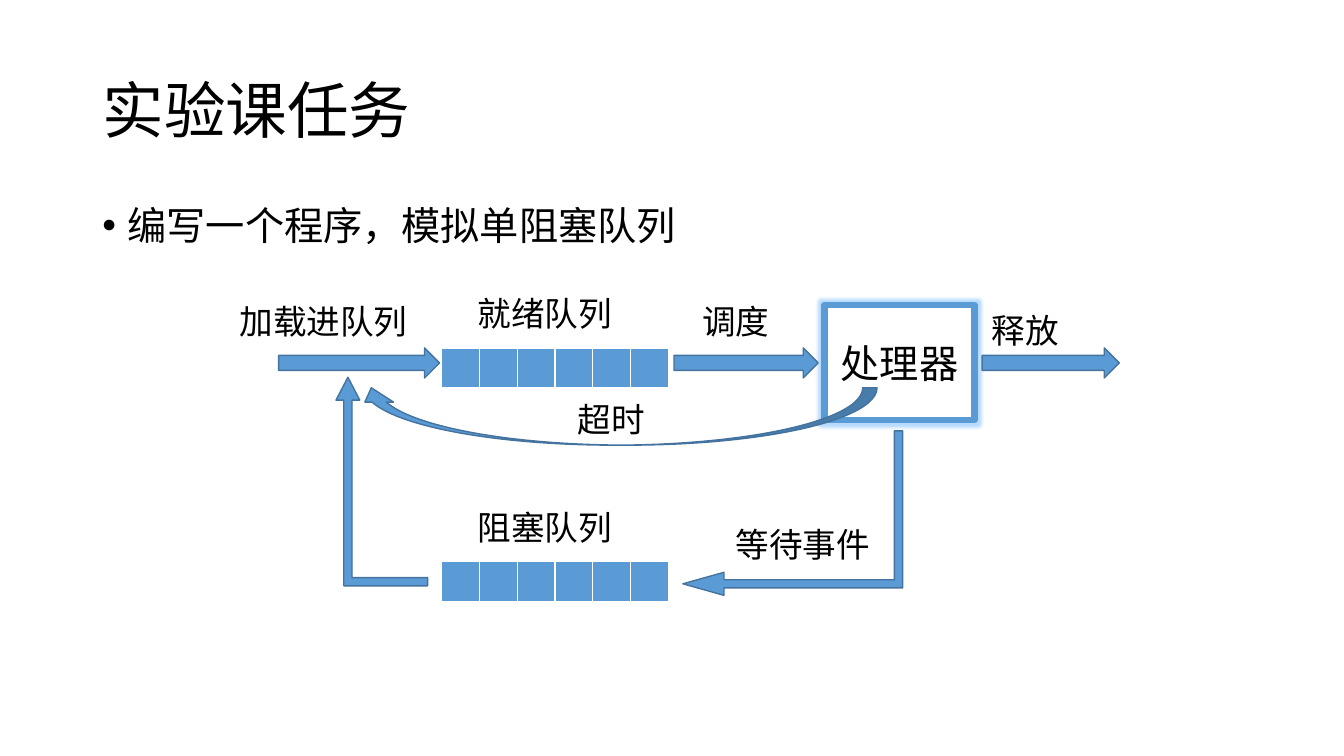
"""Build a slide that shows a scheduler with one ready queue and one blocked queue."""
import dataclasses

import lxml.etree
import pptx
import pptx.dml.color
import pptx.enum.shapes
import pptx.enum.text
import pptx.oxml.ns
import pptx.util

Pt = pptx.util.Pt
Shape = pptx.enum.shapes.MSO_SHAPE
Align = pptx.enum.text.PP_ALIGN
Anchor = pptx.enum.text.MSO_ANCHOR


@dataclasses.dataclass(frozen=True)
class Theme:
    font: str = "Calibri"
    ink: str = "000000"
    paper: str = "FFFFFF"
    accent: str = "5B9BD5"
    outline: str = "43739E"
    glow: str = "99CCFF"
    title_size: int = 44
    body_size: int = 28
    label_size: int = 24


def color(value):
    return pptx.dml.color.RGBColor.from_string(value)


def add_node(parent, tag, **attributes):
    node = lxml.etree.SubElement(parent, pptx.oxml.ns.qn(tag))
    for name, value in attributes.items():
        node.set(name, str(value))
    return node


class SlideBuilder:
    def __init__(self, slide, theme):
        self.slide = slide
        self.theme = theme

    def set_text(self, frame, text, size, align=Align.LEFT):
        frame.text = text
        para = frame.paragraphs[0]
        para.alignment = align
        for span in para.runs:
            span.font.name = self.theme.font
            span.font.size = Pt(size)
            span.font.color.rgb = color(self.theme.ink)
        return para

    def fill_placeholder(self, box, bounds, text, size, anchor):
        box.left, box.top, box.width, box.height = map(Pt, bounds)
        frame = box.text_frame
        frame.auto_size = pptx.enum.text.MSO_AUTO_SIZE.NONE
        frame.vertical_anchor = anchor
        para = self.set_text(frame, text, size)
        para.line_spacing = 0.9
        return para

    def title(self, text, bounds):
        self.fill_placeholder(self.slide.shapes.title, bounds, text, self.theme.title_size, Anchor.MIDDLE)

    def bullet(self, text, bounds):
        box = self.slide.placeholders[1]
        para = self.fill_placeholder(box, bounds, text, self.theme.body_size, Anchor.TOP)
        para.space_before = Pt(10)
        properties = para._p.get_or_add_pPr()
        properties.set("marL", str(Pt(18)))
        properties.set("indent", str(-Pt(18)))
        add_node(properties, "a:buFont", typeface="Arial")
        add_node(properties, "a:buChar", char="•")

    def label(self, text, left, top, width):
        box = self.slide.shapes.add_textbox(Pt(left), Pt(top), Pt(width), Pt(36))
        box.text_frame.word_wrap = True
        self.set_text(box.text_frame, text, self.theme.label_size)

    def shape(self, kind, bounds, fill, line, line_width):
        shape = self.slide.shapes.add_shape(kind, *map(Pt, bounds))
        shape.shadow.inherit = False
        shape.fill.solid()
        shape.fill.fore_color.rgb = color(fill)
        shape.line.color.rgb = color(line)
        shape.line.width = Pt(line_width)
        return shape

    def arrow(self, kind, bounds, adjustments=(), flipped=False, rotation=0):
        arrow = self.shape(kind, bounds, self.theme.accent, self.theme.outline, 1)
        for index, value in enumerate(adjustments):
            arrow.adjustments[index] = value
        arrow.rotation = rotation
        if flipped:
            arrow.element.spPr.get_or_add_xfrm().set("flipH", "1")

    def processor(self, text, bounds):
        box = self.shape(Shape.FLOWCHART_PROCESS, bounds, self.theme.paper, self.theme.accent, 4.5)
        effects = box.element.spPr.find(pptx.oxml.ns.qn("a:effectLst"))
        glow = add_node(effects, "a:glow", rad=Pt(5))
        tint = add_node(glow, "a:srgbClr", val=self.theme.glow)
        add_node(tint, "a:alpha", val=70000)
        box.text_frame.vertical_anchor = Anchor.MIDDLE
        self.set_text(box.text_frame, text, self.theme.body_size, Align.CENTER)

    def queue(self, left, top, slots=6, slot_width=27, height=29.5):
        frame = self.slide.shapes.add_table(
            1, slots, Pt(left), Pt(top), Pt(slot_width * slots), Pt(height))
        for column in frame.table.columns:
            column.width = Pt(slot_width)
        for cell in frame.table.iter_cells():
            cell.margin_top = cell.margin_bottom = 0
            properties = cell._tc.get_or_add_tcPr()
            for side, width in (("L", 1), ("R", 1), ("T", 1), ("B", 3)):
                border = add_node(properties, f"a:ln{side}", w=Pt(width))
                add_node(add_node(border, "a:solidFill"), "a:srgbClr", val=self.theme.paper)
            cell.fill.solid()
            cell.fill.fore_color.rgb = color(self.theme.accent)


def main():
    deck = pptx.Presentation()
    deck.slide_width, deck.slide_height = Pt(960), Pt(540)
    page = SlideBuilder(deck.slides.add_slide(deck.slide_layouts[1]), Theme())

    page.title("实验课任务", (66, 29, 828, 104.5))
    page.bullet("编写一个程序，模拟单阻塞队列", (66, 144, 828, 343))

    for top in (248.5, 401):
        page.queue(315.5, top)
    page.processor("处理器", (589, 218, 107, 82))

    for left, width in ((199, 115), (481.5, 103), (701.5, 98)):
        page.arrow(Shape.RIGHT_ARROW, (left, 248.5, width, 21.5))
    page.arrow(Shape.CURVED_UP_ARROW, (255, 277, 371.5, 41), flipped=True)
    page.arrow(Shape.BENT_UP_ARROW, (507.5, 288, 117.5, 157),
               (0.05, 0.07, 0.25), flipped=True, rotation=270)
    page.arrow(Shape.BENT_UP_ARROW, (240, 269.5, 65.5, 149),
               (0.09, 0.13, 0.25), flipped=True)

    for text, left, top, width in (
        ("加载进队列", 164, 211.5, 141),
        ("就绪队列", 334, 205.5, 135.5),
        ("调度", 494.5, 211.5, 76),
        ("释放", 701.5, 218, 76),
        ("超时", 405.5, 281.5, 76),
        ("阻塞队列", 334, 358.5, 135.5),
        ("等待事件", 518.5, 371, 119),
    ):
        page.label(text, left, top, width)

    deck.save("out.pptx")


if __name__ == "__main__":
    main()
